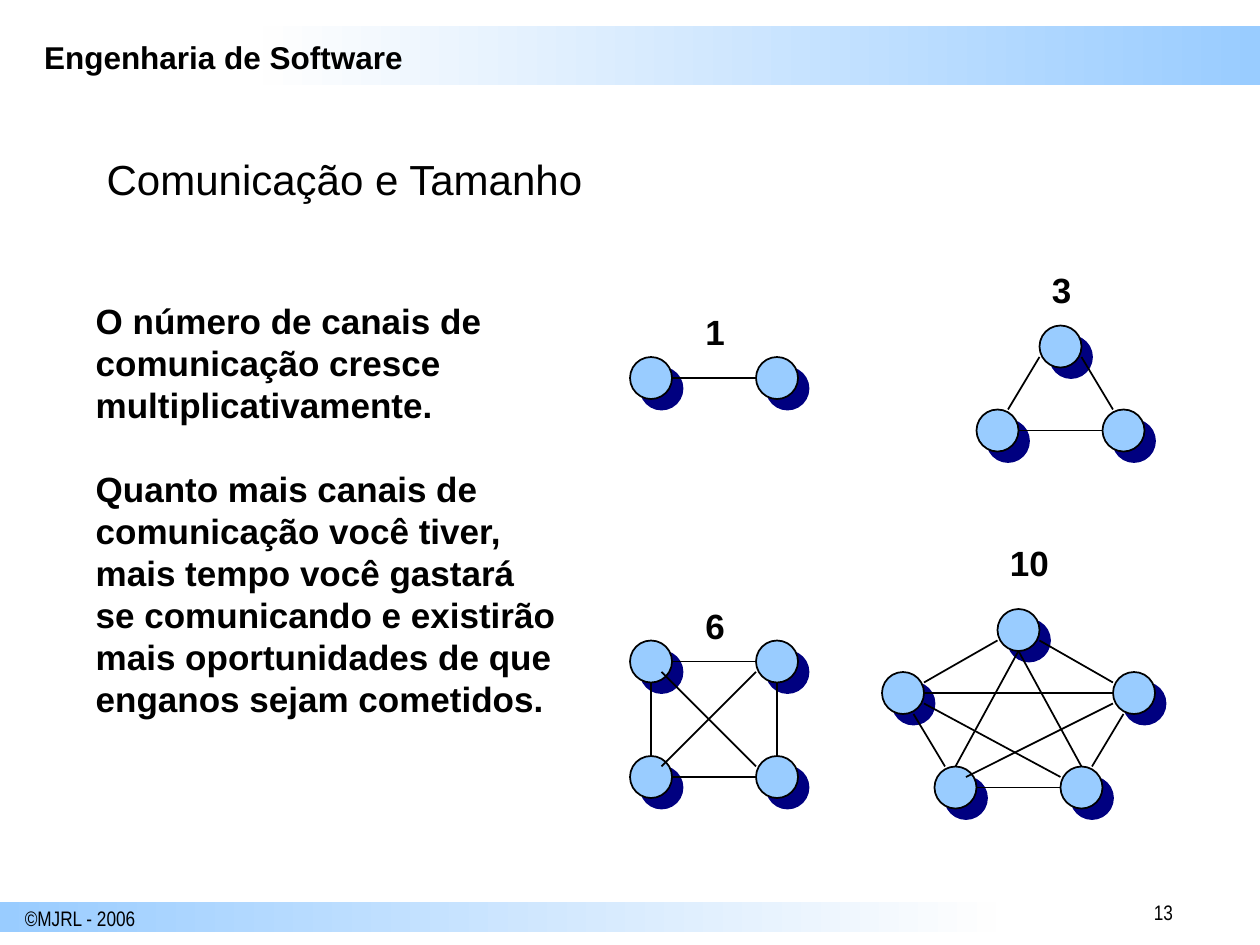
from dataclasses import dataclass

from lxml.etree import SubElement
from pptx import Presentation
from pptx.dml.color import RGBColor
from pptx.enum.shapes import MSO_CONNECTOR as Connector, MSO_SHAPE as Shape
from pptx.oxml.ns import qn
from pptx.util import Cm, Pt


@dataclass(frozen=True)
class Theme:
    ink: str = "000000"
    sky: str = "99CCFF"
    pale: str = "FEFEFE"
    navy: str = "000080"
    font: str = "Arial"
    narrow: str = "Arial Narrow"
    title: int = 24
    body: int = 20
    header: int = 18
    footer: int = 12
    leading: float = 1.2


# The networks sit on a grid of 12 units to the inch.
UNIT = 2.54 / 12
NODE = 4

# label, label position, label width, top left of each node, channels
NETWORKS = [
    ("1", (66, 29), 4.2, [(60, 34), (72, 34)], [(64, 36, 72, 36)]),
    ("3", (99, 25), 4.2, [(93, 39), (105, 39), (99, 31)],
     [(97, 41, 105, 41), (99, 34, 96, 39), (103, 34, 106, 39)]),
    ("6", (66, 57), 4.2, [(60, 72), (72, 72), (60, 61), (72, 61)],
     [(64, 63, 72, 63), (64, 74, 72, 74), (62, 65, 62, 72),
      (74, 65, 74, 72), (63, 64, 72, 73), (72, 64, 63, 73)]),
    ("10", (95, 51), 6.1,
     [(89, 73), (101, 73), (84, 64), (106, 64), (95, 58)],
     [(93, 75, 101, 75), (87, 68, 90, 73), (107, 68, 104, 73),
      (99, 61, 106, 65), (95, 61, 88, 65), (97, 62, 103, 73),
      (97, 62, 91, 73), (88, 66, 106, 66), (88, 67, 101, 74),
      (106, 67, 92, 74)]),
]

MESSAGES = [
    ["O número de canais de", "comunicação cresce", "multiplicativamente."],
    ["Quanto mais canais de", "comunicação você tiver,",
     "mais tempo você gastará", "se comunicando e existirão",
     "mais oportunidades de que", "enganos sejam cometidos."],
]


def grid(*units):
    return [Cm(unit * UNIT) for unit in units]


class Painter:
    def __init__(self, page, theme):
        self.page = page
        self.theme = theme

    def band(self, area, left_color, right_color):
        bar = self.page.shapes.add_shape(Shape.RECTANGLE, *map(Cm, area))
        bar.shadow.inherit = False
        bar.line.fill.background()
        bar.fill.gradient()
        bar.fill.gradient_angle = 0
        for stop, color in zip(bar.fill.gradient_stops, (left_color, right_color)):
            stop.color.rgb = RGBColor.from_string(color)

    def text(self, area, blocks, size, bold=False, font=None, wrap=False, parent=None):
        """Write blocks of lines, with one line of space between blocks."""
        box = (parent or self.page).shapes.add_textbox(*area)
        frame = box.text_frame
        frame.word_wrap = wrap
        frame.text = "\n".join(line for block in blocks for line in block)
        starts = {sum(map(len, blocks[:i])) for i in range(1, len(blocks))}
        leading = Pt(size * self.theme.leading)
        for index, para in enumerate(frame.paragraphs):
            para.line_spacing = leading
            if index in starts:
                para.space_before = leading
            for span in para.runs:
                span.font.name = font or self.theme.font
                span.font.size = Pt(size)
                span.font.bold = bold
                span.font.color.rgb = RGBColor.from_string(self.theme.ink)

    def outline(self, shape):
        shape.line.color.rgb = RGBColor.from_string(self.theme.ink)
        shape.line.width = Pt(1)

    def node(self, group, left, top):
        circle = group.shapes.add_shape(Shape.OVAL, *grid(left, top, NODE, NODE))
        circle.fill.solid()
        circle.fill.fore_color.rgb = RGBColor.from_string(self.theme.sky)
        self.outline(circle)
        circle.shadow.inherit = False
        effects = circle._element.spPr.find(qn("a:effectLst"))
        shadow = SubElement(effects, qn("a:outerShdw"), dist=str(Pt(8.5)),
                            dir=str(45 * 60000), algn="ctr", rotWithShape="0")
        SubElement(shadow, qn("a:srgbClr"), val=self.theme.navy)

    def channel(self, group, ends):
        line = group.shapes.add_connector(Connector.STRAIGHT, *grid(*ends))
        self.outline(line)
        SubElement(line._element.spPr, qn("a:effectLst"))

    def network(self, label, place, width, nodes, channels):
        group = self.page.shapes.add_group_shape()
        for node in nodes:
            self.node(group, *node)
        for ends in channels:
            self.channel(group, ends)
        self.text(grid(*place, width, 5.25), [[label]], self.theme.body,
                  bold=True, parent=group)


def main():
    theme = Theme()
    deck = Presentation()
    deck.slide_width, deck.slide_height = Cm(25.4), Cm(19.05)
    page = deck.slides.add_slide(deck.slide_layouts[6])
    painter = Painter(page, theme)

    painter.band((5.31, 0.53, 20.09, 1.19), theme.pale, theme.sky)
    painter.text((Cm(0.64), Cm(0.64), Cm(12.27), Cm(1.02)),
                 [["Engenharia de Software"]], theme.header, bold=True, wrap=True)
    painter.text((Cm(23.01), Cm(18.01), Cm(2.08), Cm(0.76)), [["13"]],
                 theme.footer, font=theme.narrow, wrap=True)
    painter.band((0, 18.19, 20.09, 0.61), theme.sky, theme.pale)
    painter.text((Cm(0.25), Cm(18.14), Cm(2.74), Cm(0.76)), [["©MJRL - 2006"]],
                 theme.footer, font=theme.narrow)
    painter.text((Cm(1.9), Cm(2.97), Cm(21.59), Cm(1.9)),
                 [["Comunicação e Tamanho"]], theme.title, wrap=True)
    for network in NETWORKS:
        painter.network(*network)
    painter.text((Cm(1.68), Cm(5.92), Cm(9.78), Cm(8.74)), MESSAGES,
                 theme.body, bold=True)
    deck.save("out.pptx")


if __name__ == "__main__":
    main()
